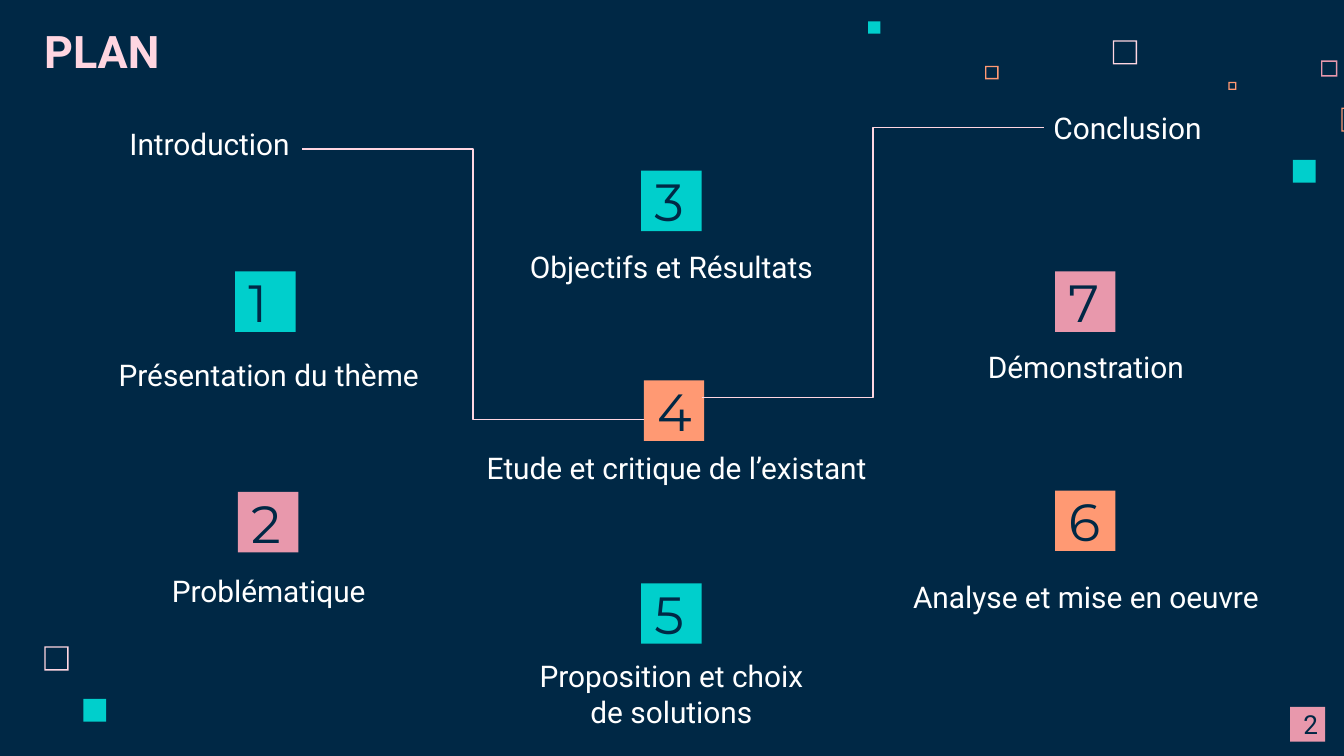
from pptx import Presentation
from pptx import util as u
from pptx.dml.color import RGBColor
from pptx.enum import shapes, text
from pptx.oxml.ns import qn
from lxml import etree

HUES = {"navy": "002845", "teal": "00CFCC", "coral": "FF9973",
        "rose": "E898AC", "blush": "FFD6E1", "white": "FFFFFF"}
WIDE = 10
HIGH = WIDE * 9 / 16
TILE = 0.45
EDGE = 0.01


def hue(name):
    return RGBColor.from_string(HUES[name])


def span(box):
    return [u.Inches(v) for v in box]


def write(shape, words, size=16, font="Roboto", color="white", bold=False,
          align=text.PP_ALIGN.CENTER, anchor=text.MSO_ANCHOR.BOTTOM):
    frame = shape.text_frame
    frame.word_wrap = True
    frame.vertical_anchor = anchor
    frame.margin_left = frame.margin_right = u.Inches(0.1)
    frame.margin_top = frame.margin_bottom = u.Inches(0.1)
    para = frame.paragraphs[0]
    para.alignment = align
    run = para.add_run()
    run.text = words
    run.font.size = u.Pt(size)
    run.font.name = font
    run.font.bold = bold
    run.font.color.rgb = hue(color)


def label(slide, box, words, **style):
    write(slide.shapes.add_textbox(*span(box)), words, **style)


def square(slide, left, top, size, color, hollow=False):
    kind = shapes.MSO_SHAPE.FRAME if hollow else shapes.MSO_SHAPE.RECTANGLE
    shape = slide.shapes.add_shape(kind, *span((left, top, size, size)))
    if hollow:
        shape.adjustments[0] = EDGE / size
    shape.shadow.inherit = False
    shape.fill.solid()
    shape.fill.fore_color.rgb = hue(color)
    shape.line.fill.background()
    return shape


def topic(slide, box, number, words, color, tile):
    left, top, width, height = box
    mark = square(slide, left + tile[0], top + tile[1], TILE, color)
    write(mark, number, size=28, font="Montserrat", color="navy",
          align=text.PP_ALIGN.LEFT, anchor=text.MSO_ANCHOR.MIDDLE)
    label(slide, (left, top, width, height), words)


def link(slide, start, end):
    line = slide.shapes.add_connector(
        shapes.MSO_CONNECTOR.ELBOW, *span(start + end))
    line.line.color.rgb = hue("blush")
    line.line.width = u.Pt(0.75)
    etree.SubElement(line._element.spPr, qn("a:effectLst"))


def decor(slide):
    for left, top, size, color, hollow in (
            (8.28, 0.3, 0.18, "blush", True),
            (9.83, 0.45, 0.12, "rose", True),
            (9.14, 0.61, 0.06, "coral", True),
            (9.98, 0.8, 0.18, "coral", True),
            (9.62, 1.19, 0.17, "teal", False),
            (7.33, 0.49, 0.1, "coral", True),
            (6.46, 0.16, 0.09, "teal", False),
            (0.33, 4.81, 0.18, "blush", True),
            (0.62, 5.2, 0.17, "teal", False)):
        square(slide, left, top, size, color, hollow)


def plan(slide):
    label(slide, (0.23, 0.05, 1.25, 0.63), "PLAN", size=24, color="blush",
          bold=True, align=text.PP_ALIGN.LEFT)
    label(slide, (0.53, 0.8, 2.06, 0.5), "Introduction")
    label(slide, (7.36, 0.68, 2.06, 0.5), "Conclusion")
    for number, words, color, box, tile in (
            ("1", "Présentation du thème", "teal",
             (0.78, 2.56, 2.44, 0.46), (0.97, -0.54)),
            ("2", "Problématique", "rose",
             (0.97, 4.17, 2.06, 0.46), (0.8, -0.51)),
            ("3", "Objectifs et Résultats", "teal",
             (3.82, 1.76, 2.35, 0.46), (0.95, -0.49)),
            ("4", "Etude et critique de l’existant", "coral",
             (3.47, 3.25, 3.13, 0.46), (1.32, -0.42)),
            ("5", "Proposition et choix de solutions", "teal",
             (3.85, 4.83, 2.29, 0.7), (0.92, -0.49)),
            ("6", "Analyse et mise en oeuvre", "coral",
             (6.64, 4.21, 2.88, 0.46), (1.21, -0.56)),
            ("7", "Démonstration", "rose",
             (7.05, 2.5, 2.06, 0.46), (0.8, -0.48))):
        topic(slide, box, number, words, color, tile)
    link(slide, (2.25, 1.11), (4.79, 3.12))
    link(slide, (5.22, 2.96), (7.77, 0.95))


def footer(slide, left, top):
    write(square(slide, left, top, 0.26, "rose"), "2", size=14,
          color="navy", anchor=text.MSO_ANCHOR.MIDDLE)


def main():
    deck = Presentation()
    deck.slide_width, deck.slide_height = span((WIDE, HIGH))
    slide = deck.slides.add_slide(deck.slide_layouts[6])
    slide.background.fill.solid()
    slide.background.fill.fore_color.rgb = hue("navy")
    decor(slide)
    plan(slide)
    footer(slide, 9.6, 5.26)
    deck.save("out.pptx")


if __name__ == "__main__":
    main()
